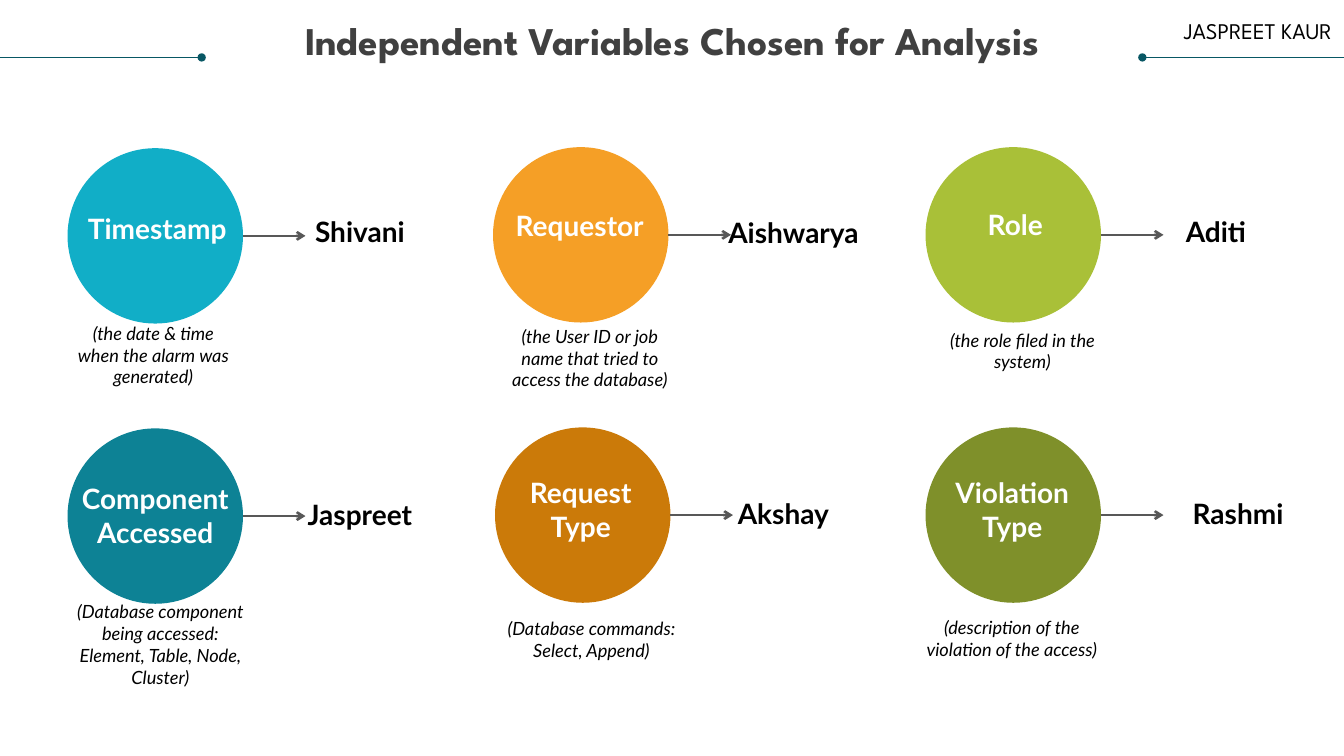
from dataclasses import dataclass

import pptx
import pptx.dml.color
import pptx.enum.shapes
import pptx.enum.text
import pptx.oxml
import pptx.oxml.ns
import pptx.util

Inches = pptx.util.Inches
MSO_ANCHOR = pptx.enum.text.MSO_ANCHOR
PP_ALIGN = pptx.enum.text.PP_ALIGN

COLORS = {
    "cyan": "11AEC7", "orange": "F59F26", "lime": "A9C038",
    "teal": "0D8295", "amber": "CB7A09", "olive": "7F902A",
    "rule": "085764", "arrow": "585858", "title": "404040",
    "white": "FFFFFF", "black": "000000",
}
DIAMETER = 1.74
ARROW_LENGTH = 0.62
LABEL_WIDTH = 1.5

HEADING = {"size": pptx.util.Pt(28), "name": "League Spartan", "bold": True}
AUTHOR = {"size": pptx.util.Pt(16), "name": "League Spartan"}
LABEL = {"size": pptx.util.Pt(20), "name": "Lato", "bold": True}
CAPTION = {"size": pptx.util.Pt(13), "name": "Lato", "italic": True}


@dataclass
class Box:
    left: float
    top: float
    width: float
    height: float


@dataclass
class Variable:
    name: str
    color: str
    circle: tuple[float, float]
    label: Box
    owner: str
    owner_at: tuple[float, float]
    caption: str
    caption_box: Box


VARIABLES = [
    Variable("Timestamp", "cyan", (0.67, 1.47), Box(0.81, 2.09, LABEL_WIDTH, 0.34),
             "Shivani", (2.82, 2.12),
             "(the date & time when the alarm was generated)", Box(0.77, 3.19, 1.5, 0.66)),
    Variable("Requestor", "orange", (4.89, 1.46), Box(5, 2.07, LABEL_WIDTH, 0.34),
             "Aishwarya", (7.12, 2.13),
             "(the User ID or job name that tried to access the database)",
             Box(5.05, 3.22, 1.6, 0.66)),
    Variable("Role", "lime", (9.18, 1.46), Box(9.32, 2.06, LABEL_WIDTH, 0.34),
             "Aditi", (11.31, 2.12),
             "(the role filed in the system)", Box(9.39, 3.26, 1.5, 0.44)),
    Variable("Component Accessed", "teal", (0.67, 4.25), Box(0.79, 4.78, LABEL_WIDTH, 0.67),
             "Jaspreet", (2.82, 4.93),
             "(Database component being accessed: Element, Table, Node, Cluster)",
             Box(0.67, 6.06, 1.84, 0.66)),
    Variable("Request Type", "amber", (4.91, 4.24), Box(5.01, 4.72, LABEL_WIDTH, 0.67),
             "Akshay", (7.02, 4.92),
             "(Database commands: Select, Append)", Box(4.99, 6.12, 1.75, 0.44)),
    Variable("Violation Type", "olive", (9.18, 4.24), Box(9.29, 4.72, LABEL_WIDTH, 0.67),
             "Rashmi", (11.53, 4.92),
             "(description of the violation of the access)", Box(9.11, 6.11, 1.85, 0.44)),
]


def rgb(color: str) -> pptx.dml.color.RGBColor:
    return pptx.dml.color.RGBColor.from_string(COLORS[color])


def write(shape, text: str, style: dict, color: str, align=PP_ALIGN.CENTER,
          anchor=MSO_ANCHOR.MIDDLE, spacing=None) -> None:
    tf = shape.text_frame
    frame_format = {
        "margin_left": 0, "margin_top": 0, "margin_right": 0, "margin_bottom": 0,
        "word_wrap": True, "vertical_anchor": anchor,
        "auto_size": pptx.enum.text.MSO_AUTO_SIZE.NONE,
    }
    for key, value in frame_format.items():
        setattr(tf, key, value)
    p = tf.paragraphs[0]
    p.alignment = align
    p.line_spacing = spacing
    r = p.add_run()
    r.text = text
    for key, value in style.items():
        setattr(r.font, key, value)
    r.font.color.rgb = rgb(color)


def add_text(s, box: Box, text: str, style: dict, color: str, **options) -> None:
    shape = s.shapes.add_textbox(Inches(box.left), Inches(box.top),
                                 Inches(box.width), Inches(box.height))
    write(shape, text, style, color, **options)


def add_line(s, start: float, end: float, y: float, color: str, width: float,
             end_mark: str) -> None:
    line = s.shapes.add_connector(pptx.enum.shapes.MSO_CONNECTOR.STRAIGHT,
                                  Inches(start), Inches(y), Inches(end), Inches(y))
    line.line.color.rgb = rgb(color)
    line.line.width = pptx.util.Pt(width)
    mark = pptx.oxml.parse_xml(
        f'<a:tailEnd {pptx.oxml.ns.nsdecls("a")} type="{end_mark}"/>')
    line.line._get_or_add_ln().append(mark)
    effects = pptx.oxml.parse_xml(f'<a:effectLst {pptx.oxml.ns.nsdecls("a")}/>')
    line._element.spPr.append(effects)


def add_variable(s, variable: Variable) -> None:
    left, top = variable.circle
    circle = s.shapes.add_shape(pptx.enum.shapes.MSO_SHAPE.OVAL, Inches(left), Inches(top),
                                Inches(DIAMETER), Inches(DIAMETER))
    circle.shadow.inherit = False
    circle.fill.solid()
    circle.fill.fore_color.rgb = rgb(variable.color)
    circle.line.fill.background()
    right = left + DIAMETER
    add_line(s, right, right + ARROW_LENGTH, top + DIAMETER / 2, "arrow", 1.75, "arrow")
    add_text(s, variable.label, variable.name, LABEL, "white")
    add_text(s, Box(*variable.owner_at, LABEL_WIDTH, 0.34), variable.owner, LABEL, "black")
    add_text(s, variable.caption_box, variable.caption, CAPTION, "black")


def main() -> None:
    prs = pptx.Presentation()
    prs.slide_width = Inches(13.33)
    prs.slide_height = Inches(7.5)
    s = prs.slides.add_slide(prs.slide_layouts[5])
    title = s.shapes.title
    title_place = {"left": 0.25, "top": 0.21, "width": 12.83, "height": 0.85}
    for key, value in title_place.items():
        setattr(title, key, Inches(value))
    write(title, "Independent Variables Chosen for Analysis", HEADING, "title",
          anchor=MSO_ANCHOR.TOP, spacing=0.9)
    for start, end in ((0, 2), (13.33, 11.33)):
        add_line(s, start, end, 0.57, "rule", 0.5, "oval")
    add_text(s, Box(9.92, 0.17, 3.29, 0.27), "JASPREET KAUR", AUTHOR, "black",
             align=PP_ALIGN.RIGHT, spacing=pptx.util.Pt(19))
    for variable in VARIABLES:
        add_variable(s, variable)
    prs.save("out.pptx")


if __name__ == "__main__":
    main()
